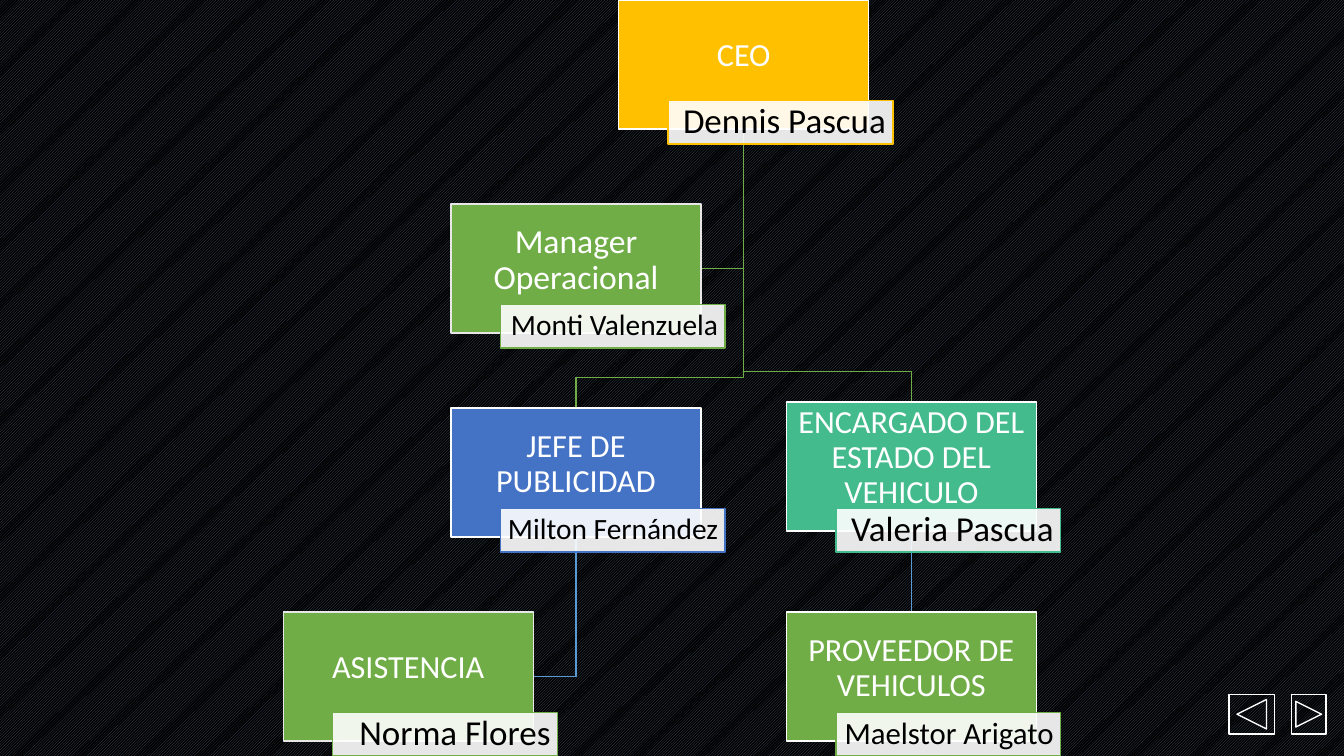
from dataclasses import dataclass
from typing import Any, Optional

import lxml.etree
import pptx
import pptx.dml.color
import pptx.enum.dml
import pptx.enum.shapes
import pptx.enum.text
import pptx.oxml.ns
import pptx.util

Inches = pptx.util.Inches
RGBColor = pptx.dml.color.RGBColor
Kind = pptx.enum.shapes.MSO_SHAPE
Align = pptx.enum.text.PP_ALIGN

WHITE = RGBColor(0xFF, 0xFF, 0xFF)
BLACK = RGBColor(0x00, 0x00, 0x00)
SLATE = RGBColor(0x44, 0x54, 0x6A)
GOLD = RGBColor(0xFF, 0xC0, 0x00)
GREEN = RGBColor(0x70, 0xAD, 0x47)
BLUE = RGBColor(0x44, 0x72, 0xC4)
SKY = RGBColor(0x5B, 0x9B, 0xD5)
TEAL = RGBColor(0x43, 0xBB, 0x8D)
SILVER = RGBColor(0xE7, 0xE7, 0xE7)

LEFT = 2.81
COL = 4.99 / 3
ROW = 6.07 / 3
WIDE, HIGH = 2.48, 1.28
TAG_X, TAG_Y = 0.49, 1.0
TAG_W, TAG_H = 2.23, 0.43
BEND = 0.3


@dataclass
class Post:
    role: str
    name: str
    col: int
    row: int
    color: RGBColor
    size: int
    boss: Optional[int] = None
    side: bool = False
    wire: RGBColor = GREEN
    edge: RGBColor = WHITE
    font: int = 23
    lift: float = 0

    @property
    def x(self) -> float:
        return LEFT + COL * self.col

    @property
    def y(self) -> float:
        return ROW * self.row - self.lift

    @property
    def mid(self) -> float:
        return self.x + WIDE / 2


POSTS = [
    Post("CEO", "Dennis Pascua", 2, 0, GOLD, 25),
    Post("JEFE DE PUBLICIDAD", "Milton Fernández", 1, 2, BLUE, 21, 0),
    Post("ASISTENCIA", "Norma Flores", 0, 3, GREEN, 25, 1, True, SKY, SILVER),
    Post("ENCARGADO DEL ESTADO DEL VEHICULO", "Valeria Pascua", 3, 2, TEAL, 25, 0, lift=0.06),
    Post("PROVEEDOR DE VEHICULOS", "Maelstor Arigato", 3, 3, GREEN, 22, 3, wire=SKY),
    Post("Manager Operacional", "Monti Valenzuela", 1, 1, GREEN, 21, 0, True, edge=SILVER, font=24),
]
KEYS = [
    (Kind.ACTION_BUTTON_FORWARD_OR_NEXT, 12.81, 0.34),
    (Kind.ACTION_BUTTON_BACK_OR_PREVIOUS, 12.19, 0.45),
]


def apply(item: Any, style: dict[str, Any]) -> None:
    for key, value in style.items():
        setattr(item, key, value)


def stroke(shape: Any, color: RGBColor) -> None:
    shape.line.color.rgb = color
    shape.line.width = pptx.util.Pt(1)


def add_box(slide: Any, kind: Any, x: float, y: float, w: float, h: float,
            fill: Optional[RGBColor], edge: RGBColor) -> Any:
    box = slide.shapes.add_shape(kind, Inches(x), Inches(y), Inches(w), Inches(h))
    box.shadow.inherit = False
    if fill is None:
        box.fill.background()
    else:
        box.fill.solid()
        box.fill.fore_color.rgb = fill
    stroke(box, edge)
    return box


def write(box: Any, text: str, size: int, color: RGBColor, align: Any, pads: tuple) -> None:
    frame = box.text_frame
    sides = ("margin_left", "margin_top", "margin_right", "margin_bottom")
    apply(frame, {side: Inches(pad) for side, pad in zip(sides, pads)})
    apply(frame, {"word_wrap": True, "vertical_anchor": pptx.enum.text.MSO_ANCHOR.MIDDLE})
    line = frame.paragraphs[0]
    apply(line, {"text": text, "alignment": align, "line_spacing": 0.9})
    apply(line.font, {"name": "Calibri", "size": pptx.util.Pt(size)})
    line.font.color.rgb = color


def add_link(slide: Any, boss: Post, post: Post) -> None:
    foot = boss.y + HIGH
    start = (boss.mid, foot)
    if post.col == boss.col:
        link = slide.shapes.add_connector(
            pptx.enum.shapes.MSO_CONNECTOR.STRAIGHT,
            *(Inches(v) for v in (*start, post.mid, post.y)))
        lxml.etree.SubElement(link.line._get_or_add_ln().getparent(), pptx.oxml.ns.qn("a:effectLst"))
    else:
        if post.side:
            turn = post.y + HIGH / 2
            route = [(boss.mid, turn), (post.x + WIDE, turn)]
        else:
            turn = post.y - BEND
            route = [(boss.mid, turn), (post.mid, turn), (post.mid, post.y)]
        form = slide.shapes.build_freeform(*(Inches(v) for v in start))
        form.add_line_segments([(Inches(x), Inches(y)) for x, y in route], close=False)
        link = form.convert_to_shape()
        link.shadow.inherit = False
        link.fill.background()
    stroke(link, post.wire)


def add_post(slide: Any, post: Post) -> None:
    card = add_box(slide, Kind.RECTANGLE, post.x, post.y, WIDE, HIGH, post.color, post.edge)
    write(card, post.role, post.font, WHITE, Align.CENTER, (0.02, 0.02, 0.02, 0.18))
    top = post.y + post.lift + TAG_Y
    tag = add_box(slide, Kind.RECTANGLE, post.x + TAG_X, top, TAG_W, TAG_H, WHITE, post.color)
    tint = tag.fill._xPr.find(pptx.oxml.ns.qn("a:solidFill"))[0]
    lxml.etree.SubElement(tint, pptx.oxml.ns.qn("a:alpha"), val="90000")
    write(tag, post.name, post.size, BLACK, Align.RIGHT, (0.06, 0.02, 0.07, 0.02))


def main() -> None:
    deck = pptx.Presentation()
    apply(deck, {"slide_width": Inches(13.33), "slide_height": Inches(7.5)})
    slide = deck.slides.add_slide(deck.slide_layouts[6])
    back = slide.background.fill
    back.patterned()
    back.pattern = pptx.enum.dml.MSO_PATTERN.LIGHT_UPWARD_DIAGONAL
    back.fore_color.rgb = SLATE
    back.back_color.rgb = BLACK
    for post in POSTS:
        if post.boss is not None:
            add_link(slide, POSTS[post.boss], post)
    for post in POSTS:
        add_post(slide, post)
    for kind, x, wide in KEYS:
        add_box(slide, kind, x, 6.89, wide, 0.39, None, WHITE)
    deck.save("out.pptx")


if __name__ == "__main__":
    main()
